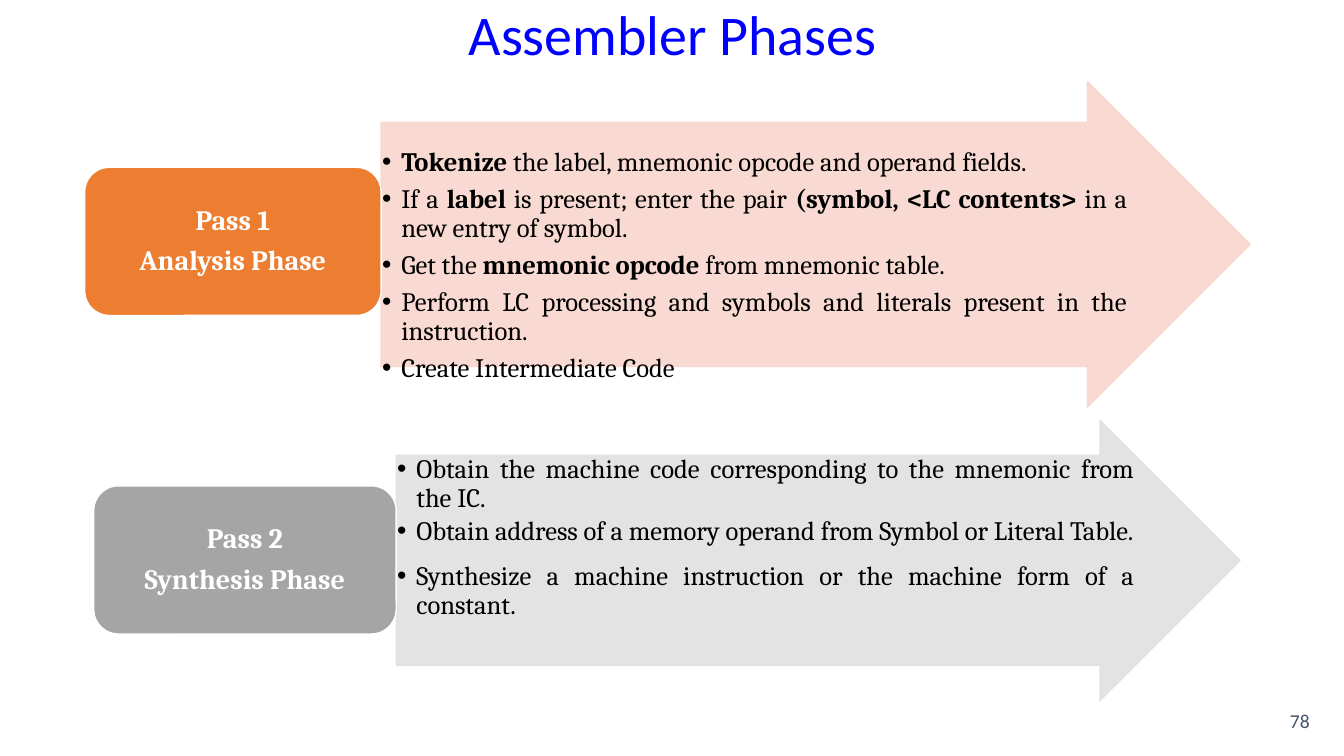
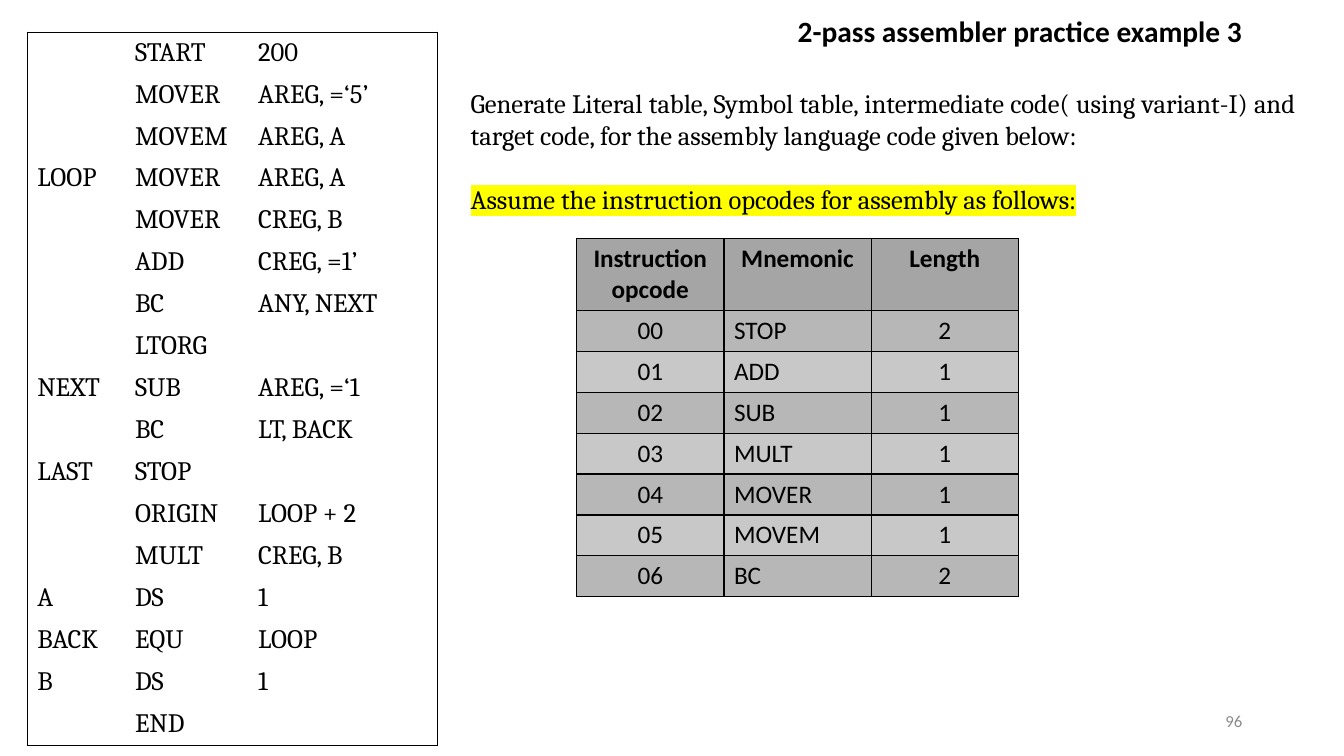
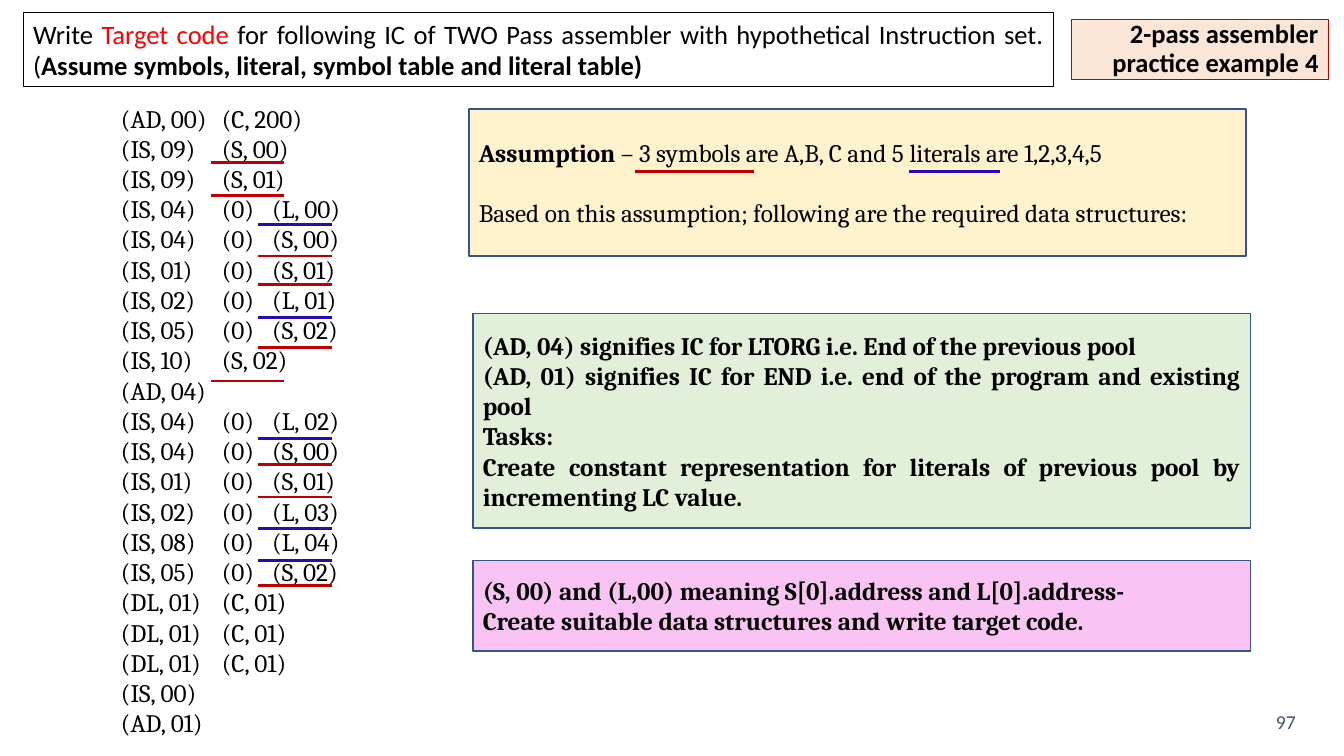
from lxml import etree
from pptx import Presentation
from pptx.dml.color import RGBColor
from pptx.enum.shapes import MSO_CONNECTOR, MSO_SHAPE
from pptx.enum.text import MSO_ANCHOR, MSO_AUTO_SIZE, PP_ALIGN
from pptx.oxml.ns import qn
from pptx.util import Inches, Pt

LEFT, CENTER, RIGHT, JUSTIFY = (
    PP_ALIGN.LEFT, PP_ALIGN.CENTER, PP_ALIGN.RIGHT, PP_ALIGN.JUSTIFY)
TOP, MIDDLE = MSO_ANCHOR.TOP, MSO_ANCHOR.MIDDLE
RECTANGLE, ROUNDED, ARROW = (
    MSO_SHAPE.RECTANGLE, MSO_SHAPE.ROUNDED_RECTANGLE, MSO_SHAPE.RIGHT_ARROW)
STRAIGHT = MSO_CONNECTOR.STRAIGHT
NO_AUTOFIT = MSO_AUTO_SIZE.NONE

SANS, SERIF = "Calibri", "Cambria"
BLACK = RGBColor(0x00, 0x00, 0x00)
WHITE = RGBColor(0xFF, 0xFF, 0xFF)
BLUE = RGBColor(0x00, 0x00, 0xFF)
RED = RGBColor(0xFF, 0x00, 0x00)
DARK_RED = RGBColor(0xC0, 0x00, 0x00)
INDIGO = RGBColor(0x2B, 0x0A, 0xB6)
SLATE = RGBColor(0x44, 0x54, 0x6A)
NAVY = RGBColor(0x32, 0x54, 0x91)
ORANGE = RGBColor(0xED, 0x7D, 0x31)
GRAY = RGBColor(0xA5, 0xA5, 0xA5)
NUMBER_GRAY = RGBColor(0x8C, 0x8C, 0x8C)
BAND_DARK = RGBColor(0xB7, 0xB7, 0xB7)
BAND_LIGHT = RGBColor(0xC8, 0xC8, 0xC8)
PALE_ORANGE = RGBColor(0xF8, 0xD7, 0xCE)
PALE_GRAY = RGBColor(0xE1, 0xE1, 0xE1)
PEACH = RGBColor(0xFB, 0xE5, 0xD6)
CREAM = RGBColor(0xFF, 0xF2, 0xCC)
MINT = RGBColor(0xE2, 0xF0, 0xD9)
PINK = RGBColor(0xF9, 0xC3, 0xF3)

BOLD = {"bold": True}
TITLE_TEXT_LAYOUT, TWO_LISTS_LAYOUT, TITLE_LAYOUT = 1, 3, 5


def add_xml(parent, tag, **attributes):
    return etree.SubElement(parent, qn(tag), attributes)


def put_text(frame, paragraphs, size=18, font=SERIF, color=BLACK, bold=False,
             align=LEFT, anchor=MIDDLE, spacing=1.0, after=0, insets=None):
    """Fill a frame; a paragraph is a string or a list of (text, overrides)."""
    frame.word_wrap = True
    frame.auto_size = NO_AUTOFIT
    frame.vertical_anchor = anchor
    if insets:
        (frame.margin_left, frame.margin_top,
         frame.margin_right, frame.margin_bottom) = map(Inches, insets)
    for index, content in enumerate(paragraphs):
        paragraph = frame.add_paragraph() if index else frame.paragraphs[0]
        paragraph.alignment = align
        paragraph.line_spacing = spacing
        paragraph.space_before = Pt(0)
        paragraph.space_after = Pt(after)
        runs = [(content, {})] if isinstance(content, str) else content
        for text, overrides in runs:
            run = paragraph.add_run()
            run.text = text
            run.font.name = font
            run.font.size = Pt(size)
            run.font.bold = overrides.get("bold", bold)
            run.font.color.rgb = overrides.get("color", color)
    return frame.paragraphs


def set_list_format(paragraphs, hang=0.0, bullet=None, tabs=()):
    for paragraph in paragraphs:
        props = paragraph._p.get_or_add_pPr()
        props.set("marL", str(Inches(hang)))
        props.set("indent", str(-Inches(hang)))
        if bullet:
            add_xml(props, "a:buChar", char=bullet)
        else:
            add_xml(props, "a:buNone")
        if tabs:
            stops = add_xml(props, "a:tabLst")
            for tab in tabs:
                add_xml(stops, "a:tab", pos=str(Inches(tab)), algn="l")


def highlight(run, color):
    mark = etree.Element(qn("a:highlight"))
    add_xml(mark, "a:srgbClr", val=color)
    run._r.get_or_add_rPr().find(qn("a:solidFill")).addnext(mark)


def set_borders(cell, sides):
    """Draw the listed sides (letters of LRTB) in black and clear the others."""
    props = cell._tc.get_or_add_tcPr()
    for side in "LRTB":
        border = add_xml(props, f"a:ln{side}", w=str(Pt(1)))
        if side in sides:
            add_xml(add_xml(border, "a:solidFill"), "a:srgbClr", val=str(BLACK))
        else:
            add_xml(border, "a:noFill")


class Deck:
    def __init__(self):
        self.presentation = Presentation()
        self.presentation.slide_width = Inches(13.33)
        self.presentation.slide_height = Inches(7.5)
        self.slide = None

    def new_slide(self, layout, number, number_box, size=14, color=SLATE):
        layouts = self.presentation.slide_layouts
        self.slide = self.presentation.slides.add_slide(layouts[layout])
        self.text([number], number_box, size=size, font=SANS, color=color, align=RIGHT)

    def place(self, shape, box):
        shape.left, shape.top, shape.width, shape.height = map(Inches, box)
        return shape

    def title(self, text, box, **style):
        heading = self.place(self.slide.shapes.title, box)
        put_text(heading.text_frame, [text],
                 **{"font": SANS, "spacing": 0.9, **style})
        return heading

    def body(self, position, paragraphs, box, **style):
        holder = self.place(self.slide.placeholders[position], box)
        return put_text(holder.text_frame, paragraphs, **style)

    def text(self, paragraphs, box, **style):
        holder = self.slide.shapes.add_textbox(*map(Inches, box))
        return put_text(holder.text_frame, paragraphs, **style)

    def paint(self, shape, fill, line, width=1):
        shape.fill.solid()
        shape.fill.fore_color.rgb = fill
        shape.line.color.rgb = line
        shape.line.width = Pt(width)

    def box(self, kind, box, fill, line, paragraphs, width=1, **style):
        panel = self.slide.shapes.add_shape(kind, *map(Inches, box))
        panel.shadow.inherit = False
        self.paint(panel, fill, line, width)
        return put_text(panel.text_frame, paragraphs, **style)

    def back_arrow(self, box, color):
        """Add a translucent block arrow behind everything on the slide."""
        arrow = self.slide.shapes.add_shape(ARROW, *map(Inches, box))
        arrow.adjustments[0] = 0.75
        arrow.adjustments[1] = 0.5
        arrow.shadow.inherit = False
        self.paint(arrow, color, color)
        for tint in arrow.element.spPr.iter(qn("a:srgbClr")):
            add_xml(tint, "a:alpha", val="90000")
        self.slide.shapes.element.insert(2, arrow.element)

    def underline(self, left, top, length, color):
        line = self.slide.shapes.add_connector(
            STRAIGHT, *map(Inches, (left, top, left + length, top)))
        line.line.color.rgb = color
        line.line.width = Pt(2)
        add_xml(line.element.spPr, "a:effectLst")

    def table(self, rows, box, columns, heights, format_cell):
        """Add a table; format_cell(cell, row, column, text) styles each cell."""
        frame = self.slide.shapes.add_table(len(rows), len(columns), *map(Inches, box))
        grid = frame.table
        grid.first_row = grid.horz_banding = False
        for column, width in zip(grid.columns, columns):
            column.width = Inches(width)
        for row, height in zip(grid.rows, heights):
            row.height = Inches(height)
        for r, texts in enumerate(rows):
            for c, text in enumerate(texts):
                format_cell(grid.cell(r, c), r, c, text)


def build_phases(deck):
    deck.new_slide(TWO_LISTS_LAYOUT, "78", (10.92, 6.95, 2.17, 0.4))
    deck.title("Assembler Phases", (2.42, -0.25, 8.5, 1.25),
               size=40, color=BLUE, align=CENTER)
    analysis_steps = [
        [("Tokenize", BOLD), (" the label, mnemonic opcode and operand fields.", {})],
        [("If a ", {}), ("label", BOLD), (" is present; enter the pair ", {}),
         ("(symbol, <LC contents> ", BOLD), ("in a new entry of symbol.", {})],
        [("Get the ", {}), ("mnemonic opcode ", BOLD), ("from mnemonic table.", {})],
        "Perform LC processing and symbols and literals present in the instruction.",
        "Create Intermediate Code",
    ]
    synthesis_steps = [
        "Obtain the machine code corresponding to the mnemonic from the IC.",
        "Obtain address of a memory operand from Symbol or Literal Table.",
        "Synthesize a machine instruction or the machine form of a constant.",
    ]
    phases = [
        (["Pass 1", "Analysis Phase"], (0.84, 1.66, 2.94, 1.47), ORANGE,
         (3.78, 0.81, 8.62, 3.23), PALE_ORANGE,
         analysis_steps, (3.78, 1.22, 7.41, 2.43), 0.25, 6),
        (["Pass 2", "Synthesis Phase"], (0.93, 4.82, 3, 1.47), GRAY,
         (3.93, 4.17, 8.37, 2.78), PALE_GRAY,
         synthesis_steps, (3.93, 4.51, 7.33, 2.08), 0.01, 12),
    ]
    for position, phase in enumerate(phases, start=1):
        (label, label_box, label_color, arrow_box, arrow_color,
         steps, steps_box, top_inset, after) = phase
        deck.back_arrow(arrow_box, arrow_color)
        deck.box(ROUNDED, label_box, label_color, WHITE, label, size=20,
                 color=WHITE, bold=True, align=CENTER, spacing=0.9, after=7)
        step_lines = deck.body(position, steps, steps_box, size=19, align=JUSTIFY,
                               anchor=TOP, spacing=0.9, after=after,
                               insets=(0.01, top_inset, 0.01, 0.01))
        set_list_format(step_lines, hang=0.19, bullet="•")
    step_lines[0].space_after = Pt(3)


def build_practice_3(deck):
    deck.new_slide(TITLE_LAYOUT, "96", (9.42, 6.95, 3, 0.4),
                   size=12, color=NUMBER_GRAY)
    deck.title("2-pass assembler practice example 3", (0.92, 0.03, 11.5, 0.6),
               size=21, bold=True, align=RIGHT)
    task = deck.text(
        ["Generate Literal table, Symbol table, intermediate code( using variant-I) "
         "and target code, for the assembly language code given below:",
         "Assume the instruction opcodes for assembly as follows:"],
        (4.57, 0.81, 8.38, 1.38), size=19, align=JUSTIFY, anchor=TOP)
    task[1].space_before = Pt(23)
    highlight(task[1].runs[0], "FFFF00")

    program = [
        ("", "START", "200"),
        ("", "MOVER", "AREG, =‘5’"),
        ("", "MOVEM", "AREG, A"),
        ("LOOP", "MOVER", "AREG, A"),
        ("", "MOVER", "CREG, B"),
        ("", "ADD", "CREG, =1’"),
        ("", "BC", "ANY, NEXT"),
        ("", "LTORG", ""),
        ("NEXT", "SUB", "AREG, =‘1"),
        ("", "BC", "LT, BACK"),
        ("LAST", "STOP", ""),
        ("", "ORIGIN", "LOOP + 2"),
        ("", "MULT", "CREG, B"),
        ("A", "DS", "1"),
        ("BACK", "EQU", "LOOP"),
        ("B", "DS", "1"),
        ("", "END", ""),
    ]
    last_row = len(program) - 1

    def format_program(cell, row, column, text):
        outer = {"L": column == 0, "R": column == 2, "T": row == 0, "B": row == last_row}
        set_borders(cell, [side for side, drawn in outer.items() if drawn])
        cell.fill.background()
        if text:
            put_text(cell.text_frame, [text], size=19, anchor=TOP)

    deck.table(program, (0.27, 0.32, 4.07, 7.08), (0.97, 1.22, 1.88),
               [7.08 / len(program)] * len(program), format_program)

    opcodes = [
        ("Instruction opcode", "Mnemonic", "Length"),
        ("00", "STOP", "2"),
        ("01", "ADD", "1"),
        ("02", "SUB", "1"),
        ("03", "MULT", "1"),
        ("04", "MOVER", "1"),
        ("05", "MOVEM", "1"),
        ("06", "BC", "2"),
    ]

    def format_opcode(cell, row, column, text):
        header = row == 0
        set_borders(cell, "LRTB")
        cell.fill.solid()
        cell.fill.fore_color.rgb = (
            GRAY if header else BAND_DARK if row % 2 else BAND_LIGHT)
        put_text(cell.text_frame, [text], font=SANS, bold=header, anchor=TOP,
                 align=LEFT if column == 1 and not header else CENTER)

    deck.table(opcodes, (5.72, 2.37, 4.39, 3.5), [1.46] * 3,
               [0.7] + [0.4] * 7, format_opcode)


def build_practice_4(deck):
    deck.new_slide(TITLE_TEXT_LAYOUT, "97", (10.87, 6.91, 2.08, 0.5))
    heading = deck.title("2-pass assembler practice example 4",
                         (10.63, 0.19, 2.55, 0.6), size=18.9, bold=True, align=RIGHT)
    deck.paint(heading, PEACH, DARK_RED, 0.75)
    deck.box(RECTANGLE, (0.23, 0.12, 10.22, 0.74), WHITE, BLACK,
             [[("Write ", {}), ("Target code ", {"color": RED}),
               ("for following IC of TWO Pass assembler with hypothetical "
                "Instruction set. (", {}),
               ("Assume symbols, literal, symbol table and literal table)", BOLD)]],
             width=0.75, size=19, font=SANS, align=JUSTIFY)

    # Each instruction: its fields, then the height of its underline if it has one
    instructions = [
        (("(AD, 00)", "(C, 200)"), None),
        (("(IS, 09)", "(S, 00)"), 1.61),
        (("(IS, 09)", "(S, 01)"), 1.94),
        (("(IS, 04)", "(0)", "(L, 00)"), 2.23),
        (("(IS, 04)", "(0)", "(S, 00)"), 2.54),
        (("(IS, 01)", "(0)", "(S, 01)"), 2.82),
        (("(IS, 02)", "(0)", "(L, 01)"), 3.15),
        (("(IS, 05)", "(0)", "(S, 02)"), 3.45),
        (("(IS, 10)", "(S, 02)"), 3.78),
        (("(AD, 04)",), None),
        (("(IS, 04)", "(0)", "(L, 02)"), 4.35),
        (("(IS, 04)", "(0)", "(S, 00)"), 4.61),
        (("(IS, 01)", "(0)", "(S, 01)"), 4.93),
        (("(IS, 02)", "(0)", "(L, 03)"), 5.24),
        (("(IS, 08)", "(0)", "(L, 04)"), 5.56),
        (("(IS, 05)", "(0)", "(S, 02)"), 5.81),
        *[(("(DL, 01)", "(C, 01)"), None)] * 3,
        (("(IS, 00)",), None),
        (("(AD, 01)",), None),
    ]
    code_lines = deck.body(1, ["\t".join(fields) for fields, _ in instructions],
                           (1.1, 0.94, 3.18, 6.46))
    set_list_format(code_lines, tabs=(0.86, 1.28))

    notes = [
        ((4.65, 1.08, 7.71, 1.46), CREAM, False,
         [[("Assumption", BOLD),
           (" – 3 symbols are A,B, C and 5 literals are 1,2,3,4,5", {})],
          "Based on this assumption; following are the required data structures:"]),
        ((4.69, 3.11, 7.71, 2.13), MINT, True,
         ["(AD, 04) signifies IC for LTORG i.e. End of the previous pool",
          "(AD, 01) signifies IC for END i.e. end of the program and existing pool",
          "Tasks:",
          "Create constant representation for literals of previous pool by "
          "incrementing LC value."]),
        ((4.69, 5.56, 7.71, 0.9), PINK, True,
         ["(S, 00) and (L,00) meaning S[0].address and L[0].address-",
          "Create suitable data structures and write target code."]),
    ]
    note_lines = [deck.box(RECTANGLE, box, fill, NAVY, lines, bold=bold, align=JUSTIFY)
                  for box, fill, bold, lines in notes]
    note_lines[0][1].space_before = Pt(21.6)

    for fields, top in instructions:
        if top:
            deck.underline(2.56 if len(fields) == 3 else 2.09, top, 0.73,
                           DARK_RED if "S" in fields[-1] else INDIGO)
    deck.underline(6.3, 1.7, 1.18, DARK_RED)
    deck.underline(9.02, 1.7, 0.9, INDIGO)


def main():
    deck = Deck()
    build_phases(deck)
    build_practice_3(deck)
    build_practice_4(deck)
    deck.presentation.save("out.pptx")


if __name__ == "__main__":
    main()
